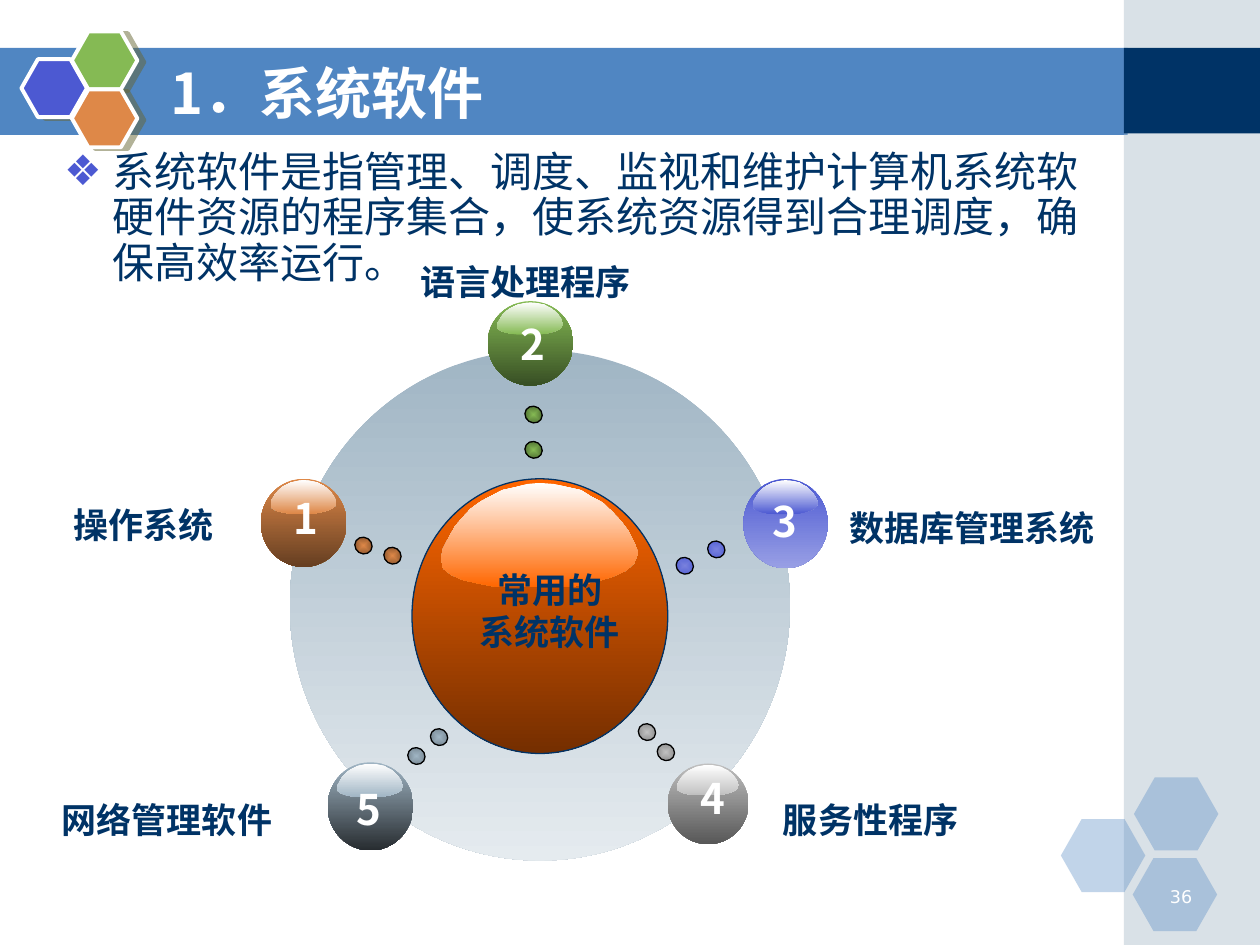
from lxml import etree
from pptx import Presentation
from pptx import util as u
from pptx.dml.color import RGBColor as C
from pptx.enum import shapes, text
from pptx.oxml.ns import qn

FONT = "Noto Sans CJK SC"
NAVY, BLUE, MIST = C(0, 0x33, 0x66), C(0x50, 0x86, 0xC2), C(0xA0, 0xB5, 0xC4)
INDIGO, GREEN, ORANGE = C(0x4C, 0x59, 0xD2), C(0x85, 0xBA, 0x54), C(0xDE, 0x88, 0x48)
WHITE, BLACK, SILVER = C(255, 255, 255), C(0, 0, 0), C(0xC0, 0xC0, 0xC0)
FLAME, RUST, PALE = C(0xFF, 0x66, 0), C(0x74, 0x2E, 0), C(0xE5, 0xEB, 0xEF)
LILAC, DEEP_LILAC = C(0x78, 0x81, 0xDD), C(0x98, 0x9F, 0xE5)

# Content
TITLE = "1．系统软件"
BODY = "系统软件是指管理、调度、监视和维护计算机系统软硬件资源的程序集合，使系统资源得到合理调度，确保高效率运行。"
CENTRE = ["常用的", "系统软件"]
PAGE = "36"
# number, label, label box, ball box, number corner, ball colours, dot colours, dot corners
ITEMS = [
    ("2", "语言处理程序", (2.95, 2.02, 2.44, 0.44), (3.87, 2.39, 0.68, 0.67), (4.03, 2.48),
     (GREEN, C(0x38, 0x4F, 0x24)), (GREEN, C(0x3E, 0x57, 0x27)), [(4.17, 3.22), (4.17, 3.5)]),
    ("5", "网络管理软件", (0.2, 6.29, 2.25, 0.44), (2.6, 6.05, 0.68, 0.7), (2.73, 6.17),
     (MIST, C(0x27, 0x2C, 0x30)), (MIST, C(0x6B, 0x79, 0x83)), [(3.24, 5.93), (3.42, 5.78)]),
    ("3", "数据库管理系统", (6.57, 3.97, 2.29, 0.44), (5.9, 3.8, 0.67, 0.71), (6.03, 3.88),
     (INDIGO, DEEP_LILAC), (LILAC, INDIGO), [(5.62, 4.29), (5.37, 4.42)]),
    ("4", "服务性程序", (5.97, 6.29, 1.88, 0.44), (5.3, 6.06, 0.64, 0.64), (5.46, 6.08),
     (SILVER, C(0x57, 0x57, 0x57)), (SILVER, C(0x80, 0x80, 0x80)), [(5.22, 5.9), (5.07, 5.74)]),
    ("1", "操作系统", (0.2, 3.95, 1.88, 0.44), (2.07, 3.8, 0.68, 0.7), (2.23, 3.86),
     (ORANGE, C(0x65, 0x3E, 0x21)), (ORANGE, C(0x76, 0x48, 0x26)), [(2.82, 4.26), (3.05, 4.34)]),
]
# Outline of the highlight on a ball, in percent of its own box
GLOSS = [(98, 57), (100, 67), (98, 77), (94, 84), (87, 90), (78, 95), (68, 99), (60, 100),
         (36, 100), (26, 99), (18, 96), (11, 93), (5, 88), (1, 82), (0, 72), (1, 63),
         (4, 52), (7, 42), (11, 33), (15, 25), (20, 18), (26, 12), (31, 7), (38, 4),
         (44, 1), (50, 0), (57, 1), (64, 4), (71, 7), (76, 13), (82, 19), (87, 28),
         (91, 36), (95, 46)]
# Hexagons
LOGO = [((0.17, 0.47), INDIGO), ((0.57, 0.25), GREEN), ((0.57, 0.71), ORANGE)]
CORNER = [(8.42, 6.5), (9, 6.17), (8.99, 6.81)]

prs = Presentation()
prs.slide_width, prs.slide_height = u.Inches(10), u.Inches(7.5)
s = prs.slides.add_slide(prs.slide_layouts[1])
KIND = shapes.MSO_SHAPE


def emu(*lengths):
    return [u.Inches(v) for v in lengths]


def sub(parent, tag, **attrs):
    return etree.SubElement(parent, qn(tag), {k: str(v) for k, v in attrs.items()})


def paint(sp, fill, line=None, width=0.75, alpha=None, radial=False):
    """Fill with one colour, or with a pair as a gradient."""
    sp.shadow.inherit = False
    if isinstance(fill, C):
        sp.fill.solid()
        sp.fill.fore_color.rgb = fill
        if alpha:
            clr = sp.fill._xPr.find(qn("a:solidFill"))[0]
            sub(clr, "a:alpha", val=alpha * 1000)
    else:
        sp.fill.gradient()
        sp.fill.gradient_angle = 270
        for stop, colour, pos in zip(sp.fill.gradient_stops, fill, (0, 1)):
            stop.color.rgb, stop.position = colour, pos
        if radial:
            grad = sp._element.spPr.find(qn("a:gradFill"))
            lin = grad.find(qn("a:lin"))
            route = etree.Element(qn("a:path"), path="rect")
            sub(route, "a:fillToRect", l=50000, t=50000, r=50000, b=50000)
            grad.replace(lin, route)
    if line is None:
        sp.line.fill.background()
    else:
        sp.line.color.rgb, sp.line.width = line, u.Pt(width)
    return sp


def shape(kind, box, fill, **fmt):
    return paint(s.shapes.add_shape(kind, *emu(*box)), fill, **fmt)


def hexagon(corner, size, fill, **fmt):
    sp = shape(KIND.HEXAGON, corner + size, fill, **fmt)
    sp.adjustments[0] = 0.285
    return sp


def gloss(ball, colour):
    x, y, w, h = ball
    left, top, gw, gh = x + 0.114 * w, y + 0.015 * h, 0.77 * w, 0.38 * h
    pts = [emu(left + gw * px / 100, top + gh * py / 100) for px, py in GLOSS]
    fb = s.shapes.build_freeform(*pts[0])
    fb.add_line_segments(pts[1:], close=True)
    paint(fb.convert_to_shape(), (WHITE, colour))


def write(tf, lines, size, colour, bold=False, align=text.PP_ALIGN.CENTER, font=FONT):
    for i, line in enumerate(lines):
        p = tf.paragraphs[0] if i == 0 else tf.add_paragraph()
        p.alignment = align
        r = p.add_run()
        r.text = line
        for key, val in dict(size=u.Pt(size), bold=bold, name=font).items():
            setattr(r.font, key, val)
        r.font.color.rgb = colour
        sub(r._r.get_or_add_rPr(), "a:ea", typeface=font)


def label(box, lines, *fmt, wrap=True, **more):
    tf = s.shapes.add_textbox(*emu(*box)).text_frame
    tf.word_wrap = wrap
    write(tf, lines, *fmt, **more)


def placeholder(sp, box, anchor):
    sp.left, sp.top, sp.width, sp.height = emu(*box)
    tf = sp.text_frame
    tf.auto_size, tf.vertical_anchor = text.MSO_AUTO_SIZE.NONE, anchor
    return tf


# Title band, side column and hexagons; the placeholders are lifted above them later
shape(KIND.RECTANGLE, (0, 0.38, 8.95, 0.69), BLUE)
shape(KIND.RECTANGLE, (8.92, 0, 1.08, 7.5), MIST, alpha=40)
shape(KIND.RECTANGLE, (8.92, 0.38, 1.08, 0.68), NAVY)
for corner in CORNER:
    hexagon(corner, (0.67, 0.58), BLUE, alpha=35)
for corner, colour in LOGO:
    sp = hexagon(corner, (0.52, 0.46), colour, line=WHITE, width=2.25)
    effects = sp._element.spPr.find(qn("a:effectLst"))
    shadow = sub(effects, "a:outerShdw", dist=u.Pt(4.1), dir=14 * 60000, algn="ctr", rotWithShape=0)
    sub(sub(shadow, "a:srgbClr", val="666633"), "a:alpha", val=50000)
label((9.06, 6.98, 0.5, 0.25), [PAGE], 10, WHITE, align=text.PP_ALIGN.RIGHT, font="DejaVu Sans")

# Title and bulleted paragraph
title, body = s.shapes.title, s.placeholders[1]
for sp in (body, title):
    s.shapes._spTree.append(sp._element)
tf = placeholder(title, (1.25, 0.42, 7.33, 0.62), text.MSO_ANCHOR.MIDDLE)
write(tf, [TITLE], 32, WHITE, True, text.PP_ALIGN.LEFT)
tf = placeholder(body, (0.41, 1.15, 8.53, 1.31), text.MSO_ANCHOR.TOP)
p = tf.paragraphs[0]
pPr = p._p.get_or_add_pPr()
pPr.set("marL", str(u.Inches(0.38)))
pPr.set("indent", str(-u.Inches(0.38)))
sub(sub(pPr, "a:buClr"), "a:srgbClr", val=INDIGO)
sub(pPr, "a:buChar", char="❖")
p.line_spacing, p.space_before = 0.9, u.Pt(0)
write(tf, [BODY], 24, NAVY, align=text.PP_ALIGN.LEFT)

# Disc and central ball
CORE = (3.27, 3.8, 2.03, 2.18)
shape(KIND.OVAL, (2.3, 2.78, 3.97, 4.05), (MIST, PALE))
shape(KIND.OVAL, CORE, (FLAME, RUST), line=NAVY)
gloss(CORE, FLAME)
label((3.66, 4.46, 1.41, 0.77), CENTRE, 20, NAVY, True)

# Numbered balls with their dots and labels
for number, name, name_box, ball, corner, colours, dot_colours, dots in ITEMS:
    shape(KIND.OVAL, ball, colours)
    gloss(ball, colours[0])
    label(corner + (0.39, 0.5), [number], 24, WHITE, True, wrap=False)
    for dot in dots:
        sp = shape(KIND.OVAL, dot + (0.13, 0.14), dot_colours, line=BLACK, radial=True)
        sp.rotation = 303.8
    label(name_box, [name], 20, NAVY, True)

prs.save("out.pptx")
